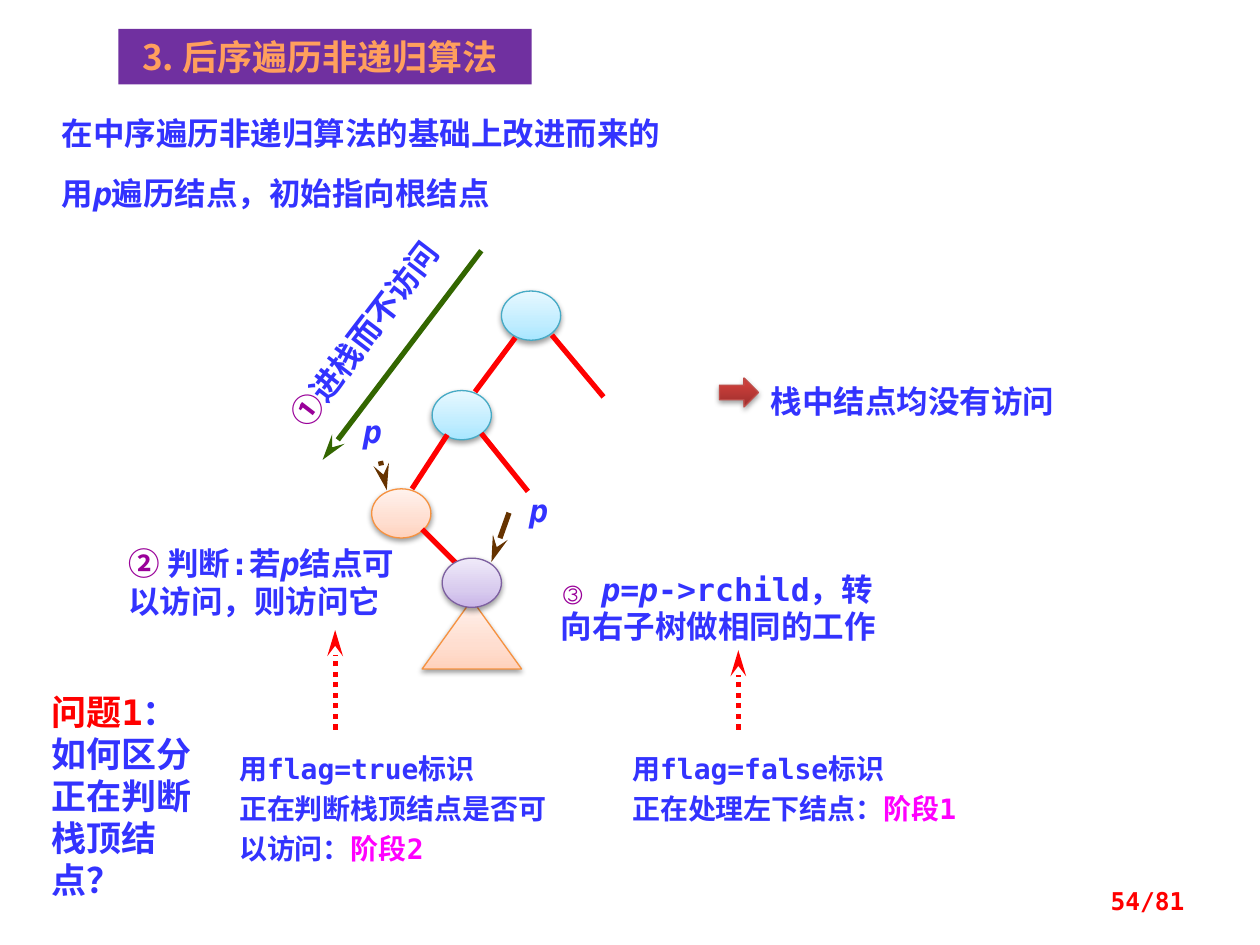
from lxml import etree
from pptx import Presentation
from pptx.dml.color import RGBColor
from pptx.enum.dml import MSO_LINE
from pptx.enum.shapes import MSO_CONNECTOR, MSO_SHAPE
from pptx.enum.text import MSO_ANCHOR, MSO_AUTO_SIZE, PP_ALIGN
from pptx.oxml import parse_xml
from pptx.oxml.ns import nsdecls, qn
from pptx.util import Inches, Pt

MONO, CJK = "DejaVu Sans Mono", "Noto Sans CJK SC"
BLUE = RGBColor(0x33, 0x33, 0xFF)
RED = RGBColor(0xFF, 0x00, 0x00)
PURPLE = RGBColor(0x99, 0x00, 0x99)
MAGENTA = RGBColor(0xFF, 0x00, 0xFF)
GREEN = RGBColor(0x33, 0x66, 0x00)
BROWN = RGBColor(0x66, 0x33, 0x00)
TITLE_FILL = RGBColor(0x70, 0x30, 0xA0)
TITLE_TEXT = RGBColor(0xFF, 0x9F, 0x5D)
AQUA_LINE = RGBColor(0x46, 0xAA, 0xC5)
ORANGE_LINE = RGBColor(0xF6, 0x92, 0x40)
VIOLET_LINE = RGBColor(0x7D, 0x60, 0xA0)
ARROW_LINE = RGBColor(0xBF, 0x4C, 0x48)

# Gradient stops (percent, colour), running from bottom to top
AQUA = [(0, "A7E6FF"), (35, "C1EDFF"), (100, "E7F8FF")]
ORANGE = [(0, "FFD2BD"), (35, "FFDED0"), (100, "FFF2ED")]
VIOLET = [(0, "C9B5E8"), (35, "D8CBEE"), (100, "F0EAF9")]
BRICK = [(0, "9C2F2D"), (80, "CB3E3A"), (100, "CE3B37")]

presentation = Presentation()
presentation.slide_width, presentation.slide_height = Inches(10), Inches(7.5)
slide = presentation.slides.add_slide(presentation.slide_layouts[5])


def add_text(box, paragraphs, size=18, align=PP_ALIGN.LEFT, inset=0.1,
             spacing=None, shape=None, font=MONO, fit=MSO_AUTO_SIZE.SHAPE_TO_FIT_TEXT):
    """Each paragraph is a list of (text, colour) runs; an "i" makes a run italic."""
    left, top, width, height = map(Inches, box)
    shape = shape or slide.shapes.add_textbox(left, top, width, height)
    shape.left, shape.top, shape.width, shape.height = left, top, width, height
    frame = shape.text_frame
    frame.word_wrap = True
    frame.auto_size = fit
    frame.margin_left = frame.margin_right = Inches(inset)
    frame.margin_top = frame.margin_bottom = Inches(inset / 2)
    for index, runs in enumerate(paragraphs):
        paragraph = frame.add_paragraph() if index else frame.paragraphs[0]
        paragraph.alignment = align
        # Closing punctuation stays inside the box
        paragraph._element.get_or_add_pPr().set("hangingPunct", "0")
        if spacing:
            paragraph.line_spacing = Pt(spacing)
        for text, colour, *style in runs:
            run = paragraph.add_run()
            run.text = text
            run.font.name, run.font.size, run.font.bold = font, Pt(size), True
            run.font.italic = "i" in style
            run.font.color.rgb = colour
            etree.SubElement(run.font._element, qn("a:ea"), typeface=CJK)
    return shape


def add_gradient_shape(kind, box, stops, outline):
    shape = slide.shapes.add_shape(kind, *map(Inches, box))
    stop_xml = "".join(f'<a:gs pos="{position * 1000}"><a:srgbClr val="{colour}"/></a:gs>'
                       for position, colour in stops)
    properties = shape.element.spPr
    properties.insert(2, parse_xml(
        f'<a:gradFill {nsdecls("a")} rotWithShape="1"><a:gsLst>{stop_xml}</a:gsLst>'
        '<a:lin ang="16200000" scaled="0"/></a:gradFill>'))
    shape.line.color.rgb = outline
    shape.line.width = Pt(0.75)
    shape.shadow.inherit = False
    properties.find(qn("a:effectLst")).append(parse_xml(
        f'<a:outerShdw {nsdecls("a")} blurRad="40000" dist="20000" dir="5400000" '
        'rotWithShape="0"><a:srgbClr val="000000"><a:alpha val="38000"/>'
        '</a:srgbClr></a:outerShdw>'))


# Title bar
title = add_text((0.94, 0.23, 3.28, 0.44), [[("3. 后序遍历非递归算法", TITLE_TEXT)]],
                 size=20, align=PP_ALIGN.CENTER, shape=slide.shapes.title, font=CJK,
                 fit=MSO_AUTO_SIZE.NONE)
title.text_frame.vertical_anchor = MSO_ANCHOR.MIDDLE
title.text_frame.margin_right = Inches(0.18)
title.fill.solid()
title.fill.fore_color.rgb = TITLE_FILL

# Introduction
add_text((0.39, 0.86, 5.78, 0.4), [[("在中序遍历非递归算法的基础上改进而来的", BLUE)]], font=CJK)
add_text((0.39, 1.33, 5, 0.4),
         [[("用", BLUE), ("p", BLUE, "i"), ("遍历结点，初始指向根结点", BLUE)]])

# Tree nodes and the right subtree
NODE = (0.47, 0.39)
for left, top, stops, outline in [(3.98, 2.31, AQUA, AQUA_LINE),
                                  (3.43, 3.1, AQUA, AQUA_LINE),
                                  (2.95, 3.88, ORANGE, ORANGE_LINE)]:
    add_gradient_shape(MSO_SHAPE.OVAL, (left, top, *NODE), stops, outline)
add_gradient_shape(MSO_SHAPE.ISOSCELES_TRIANGLE, (3.35, 4.76, 0.79, 0.55),
                   ORANGE, ORANGE_LINE)

# Tree edges, pointers and step arrows: start, end, colour, arrowhead, dotted
lines = [
    (4.09, 2.68, 3.77, 3.11, RED, False, False),
    (3.55, 3.45, 3.27, 3.88, RED, False, False),
    (4.38, 2.66, 4.79, 3.15, RED, False, False),
    (3.82, 3.44, 4.19, 3.9, RED, False, False),
    (3.35, 4.2, 3.74, 4.59, RED, False, False),
    (3.02, 3.66, 3.07, 3.89, BROWN, True, False),
    (4.04, 4.07, 3.9, 4.46, BROWN, True, False),
    (3.82, 1.99, 2.56, 3.65, GREEN, True, False),
    (2.66, 5.79, 2.66, 5, RED, True, True),
    (5.86, 5.79, 5.86, 5.16, RED, True, True),
]
for *ends, colour, has_head, dotted in lines:
    connector = slide.shapes.add_connector(MSO_CONNECTOR.STRAIGHT, *map(Inches, ends))
    connector.line.color.rgb = colour
    connector.line.width = Pt(3)
    if dotted:
        connector.line.dash_style = MSO_LINE.ROUND_DOT
    properties = connector.element.spPr
    if has_head:
        etree.SubElement(properties.find(qn("a:ln")), qn("a:tailEnd"),
                         type="stealth", w="med", len="lg")
    etree.SubElement(properties, qn("a:effectLst"))

# Root of the right subtree, over its edge
add_gradient_shape(MSO_SHAPE.OVAL, (3.51, 4.43, *NODE), VIOLET, VIOLET_LINE)

# Pointer labels
for left, top in [(2.8, 3.27), (4.12, 3.9)]:
    add_text((left, top, 0.31, 0.3), [[("p", BLUE, "i")]],
             align=PP_ALIGN.CENTER, inset=0)

# Steps 1 to 3
step_one = add_text((1.47, 2.45, 2.84, 0.4), [[("①", PURPLE), ("进栈而不访问", BLUE)]],
                    align=PP_ALIGN.CENTER)
step_one.rotation = 307.4
add_text((1.02, 4.32, 2.27, 0.61),
         [[("② ", PURPLE), ("判断:若", BLUE), ("p", BLUE, "i"),
           ("结点可以访问，则访问它", BLUE)]], inset=0)
add_text((4.37, 4.52, 2.66, 0.61),
         [[("③ ", PURPLE), ("p", BLUE, "i"), ("=", BLUE), ("p", BLUE, "i"),
           ("->rchild，转向右子树做相同的工作", BLUE)]],
         align=PP_ALIGN.CENTER, inset=0)

# Question and the two flag stages
add_text((0.31, 5.43, 1.48, 1.45),
         [[("问题1", RED), ("：", BLUE)], [("如何区分正在判断栈顶结点？", BLUE)]], size=20)
add_text((1.8, 5.86, 2.81, 1.07),
         [[("用flag=true标识", BLUE)],
          [("正在判断栈顶结点是否可以访问：", BLUE), ("阶段2", MAGENTA)]],
         size=16, spacing=23)
add_text((4.92, 5.86, 3.44, 0.75),
         [[("用flag=false标识", BLUE)],
          [("正在处理左下结点：", BLUE), ("阶段1", MAGENTA)]],
         size=16, spacing=23)

# Conclusion
add_text((6.02, 2.89, 2.89, 0.46), [[("栈中结点均没有访问", BLUE)]], spacing=28)
add_gradient_shape(MSO_SHAPE.RIGHT_ARROW, (5.71, 3, 0.31, 0.23), BRICK, ARROW_LINE)

# Page number
page_number = add_text((7.17, 6.95, 2.33, 0.4), [[("54/81", RED)]],
                       size=14, align=PP_ALIGN.RIGHT, fit=MSO_AUTO_SIZE.NONE)
page_number.text_frame.vertical_anchor = MSO_ANCHOR.MIDDLE

presentation.save("out.pptx")
